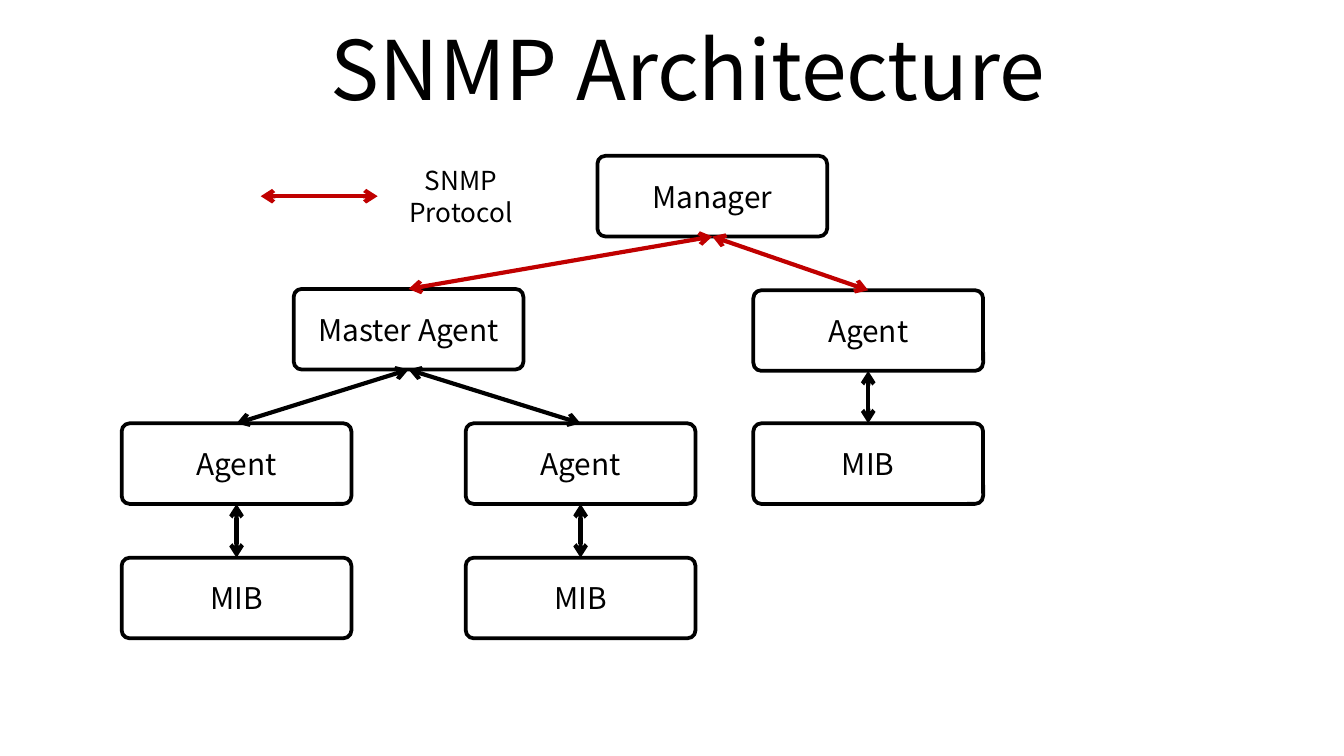
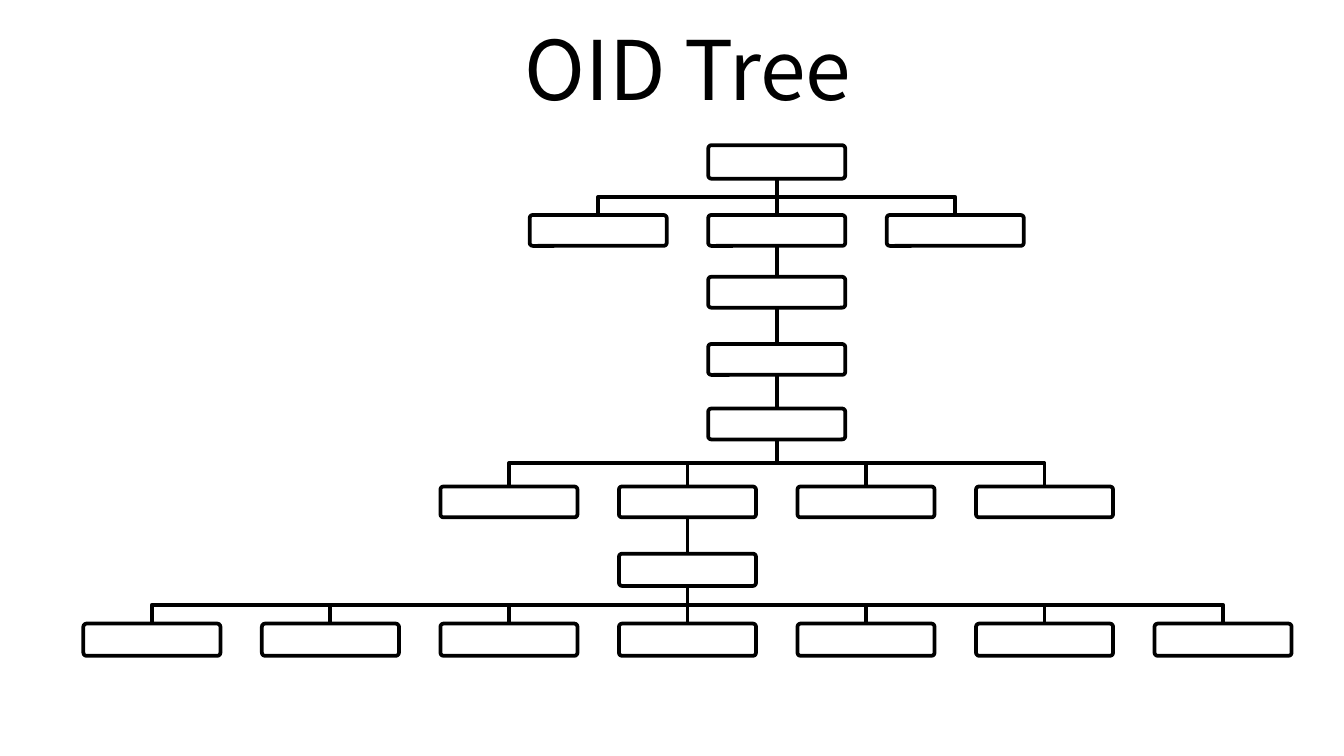
from dataclasses import dataclass

from lxml import etree
from pptx import Presentation
from pptx.dml.color import RGBColor
from pptx.enum.shapes import MSO_CONNECTOR, MSO_SHAPE
from pptx.enum.text import MSO_ANCHOR, PP_ALIGN
from pptx.oxml.ns import qn
from pptx.util import Inches, Pt

ROUNDED = MSO_SHAPE.ROUNDED_RECTANGLE
STRAIGHT = MSO_CONNECTOR.STRAIGHT
MIDDLE = MSO_ANCHOR.MIDDLE
CENTER = PP_ALIGN.CENTER


@dataclass(frozen=True)
class Theme:
    font: str = "Noto Sans CJK KR"
    ink: RGBColor = RGBColor(0x00, 0x00, 0x00)
    paper: RGBColor = RGBColor(0xFF, 0xFF, 0xFF)
    protocol: RGBColor = RGBColor(0xC0, 0x00, 0x00)
    title_size: float = 44
    node_size: float = 16
    legend_size: float = 14
    outline: float = 2
    arrow: float = 2.25


THEME = Theme()


@dataclass(frozen=True)
class Node:
    """A box given by its centre line, top, width and height in inches."""
    center: float
    top: float
    width: float
    height: float

    @property
    def left(self):
        return self.center - self.width / 2

    @property
    def head(self):
        return self.center, self.top

    @property
    def foot(self):
        return self.center, self.top + self.height


def write_text(shape, text, *, size, color=THEME.ink, inset=0.05):
    frame = shape.text_frame
    frame.word_wrap = True
    frame.vertical_anchor = MIDDLE
    frame.margin_left = frame.margin_right = Inches(inset)
    frame.margin_top = frame.margin_bottom = Inches(0)
    para = frame.paragraphs[0]
    para.alignment = CENTER
    span = para.add_run()
    span.text = text
    span.font.name = THEME.font
    span.font.size = Pt(size)
    span.font.color.rgb = color


class Painter:
    """Holds the deck, its theme and the current slide."""

    def __init__(self, deck, theme):
        self.deck = deck
        self.theme = theme
        self.page = None

    def new_page(self, title):
        self.page = self.deck.slides.add_slide(self.deck.slide_layouts[6])
        fill = self.page.background.fill
        fill.solid()
        fill.fore_color.rgb = self.theme.paper
        self.label(title, 0.62, 0.03, 9, 0.94, size=self.theme.title_size)

    def label(self, text, left, top, width, height, **style):
        box = self.page.shapes.add_textbox(
            Inches(left), Inches(top), Inches(width), Inches(height))
        write_text(box, text, **style)

    def node(self, node, text="", corner=0.1):
        box = self.page.shapes.add_shape(
            ROUNDED, Inches(node.left), Inches(node.top),
            Inches(node.width), Inches(node.height))
        box.adjustments[0] = corner
        box.shadow.inherit = False
        box.fill.solid()
        box.fill.fore_color.rgb = self.theme.paper
        box.line.color.rgb = self.theme.ink
        box.line.width = Pt(self.theme.outline)
        if text:
            write_text(box, text, size=self.theme.node_size)

    def line(self, start, end, color, weight, arrows=False):
        link = self.page.shapes.add_connector(
            STRAIGHT, *(Inches(value) for value in (*start, *end)))
        link.line.color.rgb = color
        link.line.width = Pt(weight)
        if arrows:
            outline = link.line._get_or_add_ln()
            for tag in ("a:headEnd", "a:tailEnd"):
                etree.SubElement(outline, qn(tag)).set("type", "arrow")
        etree.SubElement(link._element.spPr, qn("a:effectLst"))

    def arrow(self, start, end, color):
        self.line(start, end, color, self.theme.arrow, arrows=True)

    def branch(self, parent, child):
        """Join two tree nodes, with an elbow when they are not aligned."""
        start, end = parent.foot, child.head
        if parent.center == child.center:
            self.line(start, end, self.theme.ink, self.theme.outline)
            return
        middle = (start[1] + end[1]) / 2
        points = [(start[0], middle), (end[0], middle), end]
        builder = self.page.shapes.build_freeform(
            Inches(start[0]), Inches(start[1]))
        builder.add_line_segments(
            [(Inches(x), Inches(y)) for x, y in points], close=False)
        elbow = builder.convert_to_shape()
        elbow.shadow.inherit = False
        elbow.fill.background()
        elbow.line.color.rgb = self.theme.ink
        elbow.line.width = Pt(self.theme.outline)


def draw_architecture(painter):
    painter.new_page("SNMP Architecture")
    theme = painter.theme

    # Managers, agents and their data
    places = {
        "manager": ("Manager", 5.3, 1.16),
        "master": ("Master Agent", 3.04, 2.15),
        "agent": ("Agent", 6.46, 2.16),
        "left agent": ("Agent", 1.76, 3.15),
        "right agent": ("Agent", 4.32, 3.15),
        "left mib": ("MIB", 1.76, 4.15),
        "right mib": ("MIB", 4.32, 4.15),
        "mib": ("MIB", 6.46, 3.15),
    }
    nodes = {}
    for name, (text, center, top) in places.items():
        nodes[name] = Node(center, top, 1.71, 0.6)
        painter.node(nodes[name], text)

    # Links between the levels
    links = [
        ("manager", "master", theme.protocol),
        ("master", "left agent", theme.ink),
        ("master", "right agent", theme.ink),
        ("manager", "agent", theme.protocol),
        ("agent", "mib", theme.ink),
        ("left agent", "left mib", theme.ink),
        ("right agent", "right mib", theme.ink),
    ]
    for upper, lower, color in links:
        painter.arrow(nodes[upper].foot, nodes[lower].head, color)

    # Legend
    painter.arrow((2.81, 1.46), (1.94, 1.46), theme.protocol)
    painter.label("SNMP Protocol", 2.92, 1.16, 1.02, 0.6,
                  size=theme.legend_size)


def draw_oid_tree(painter):
    painter.new_page("OID Tree")

    # Each level: top, height, columns, and which node carries the next level
    levels = [
        (1.08, 0.25, [3.5], 0),
        (1.6, 0.23, [2.5, 3.5, 4.5], 1),
        (2.06, 0.23, [3.5], 0),
        (2.56, 0.23, [3.5], 0),
        (3.04, 0.23, [3.5], 0),
        (3.62, 0.23, [2, 3, 4, 5], 1),
        (4.12, 0.24, [3], 0),
        (4.64, 0.24, range(7), 0),
    ]
    first_center, last_center = 1.13, 9.1
    pitch = (last_center - first_center) / 6
    parent = None
    for top, height, columns, carrier in levels:
        row = [Node(first_center + pitch * column, top, 1.02, height)
               for column in columns]
        for node in row:
            if parent:
                painter.branch(parent, node)
            painter.node(node)
        parent = row[carrier]


def main():
    deck = Presentation()
    # Widescreen page, 16 to 9
    deck.slide_width = Inches(10)
    deck.slide_height = Inches(10) * 9 // 16
    painter = Painter(deck, THEME)
    draw_architecture(painter)
    draw_oid_tree(painter)
    deck.save("out.pptx")


if __name__ == "__main__":
    main()
